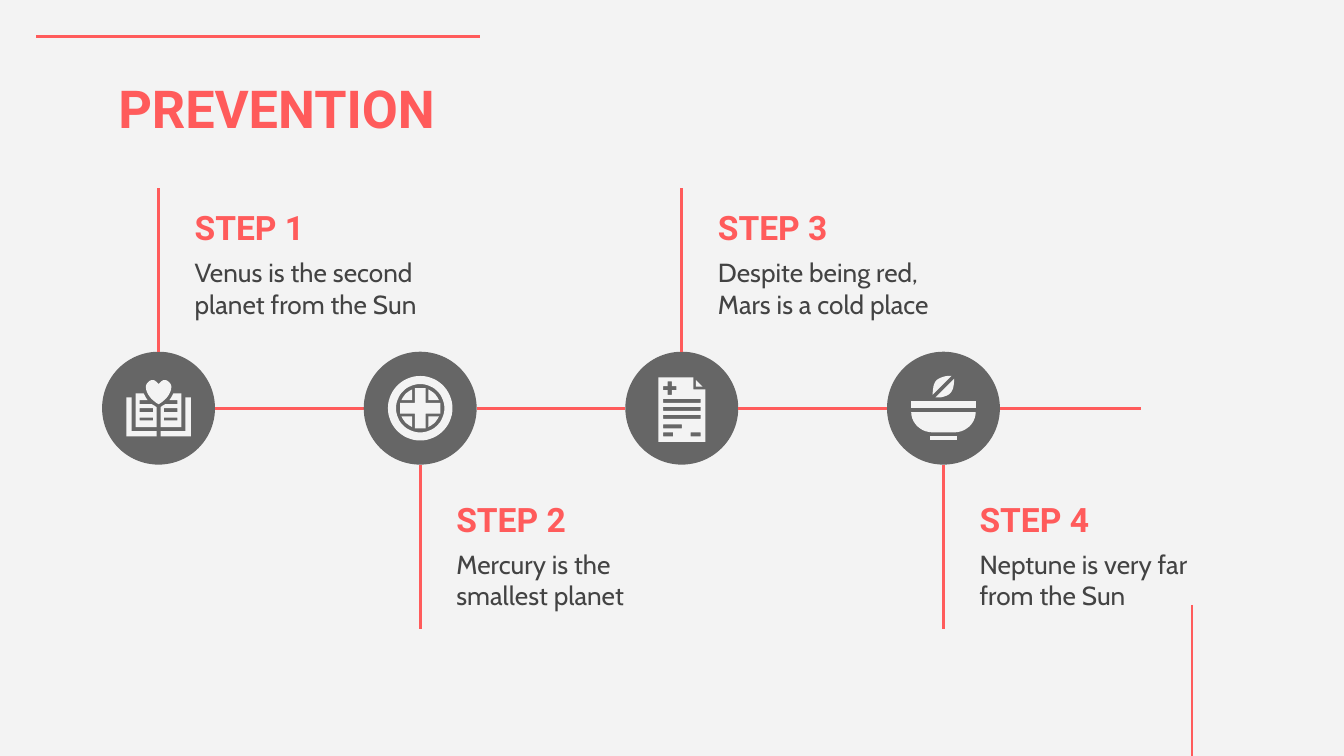
import math

import pptx
import pptx.dml.color
import pptx.enum.shapes
import pptx.enum.text
import pptx.oxml
import pptx.oxml.ns
import pptx.util

Inches = pptx.util.Inches
COLORS = {"accent": "FF5B5B", "paper": "F3F3F3", "disc": "666666", "body": "434343"}
SLIDE_W = 10
SLIDE_H = SLIDE_W * 9 / 16
TITLE = "PREVENTION"
STEPS = [
    ("STEP 1", "Venus is the second planet from the Sun", "book"),
    ("STEP 2", "Mercury is the smallest planet", "shield"),
    ("STEP 3", "Despite being red, Mars is a cold place", "report"),
    ("STEP 4", "Neptune is very far from the Sun", "bowl"),
]
FIRST_X, LAST_X, AXIS_END = 1.18, 7.02, 8.49
PITCH = (LAST_X - FIRST_X) / (len(STEPS) - 1)
AXIS_Y = 0.54 * SLIDE_H
RADIUS, STEM = 0.42, 1.22
TEXT_OFFSET, TEXT_W, HEAD_H, BODY_H = 0.17, 2.05, 0.37, 0.58
ABOVE_TOP, BELOW_TOP = 1.44, 3.61
CORNER_LINES = [(0.27, 0.27, 3.57, 0.27), (8.87, 4.5, 8.87, SLIDE_H)]


# Icon outlines are in hundredths of an inch from the disc's centre.
# A pair is a corner; six numbers are a cubic curve from the last point.
def rect(left, top, right, bottom):
    return [(left, top), (right, top), (right, bottom), (left, bottom)]


def circle(radius, steps=60):
    angles = [2 * math.pi * i / steps for i in range(steps)]
    return [(radius * math.cos(a), radius * math.sin(a)) for a in angles]


def plus(cx, cy, reach, half):
    arm = [(half, -reach), (half, -half), (reach, -half)]
    points = []
    for _ in range(4):
        points += arm
        arm = [(-y, x) for x, y in arm]
    return [(cx + x, cy + y) for x, y in points]


def flip(part, sx=-1, sy=1):
    """Mirror every contour of a part."""
    return [[tuple(v * (sy if i % 2 else sx) for i, v in enumerate(step))
             for step in contour] for contour in part]


COVER = [[(-24, -8), (-24, 21), (-1.5, 21), (-1.5, 17), (-20, 17), (-20, -8)]]
PAGE = [
    [(-17, -11), (-17, 14), (-1.5, 14), (-1.5, -1), (-2, -1, -3, -2, -5, -3),
     (-14, -3), (-14, -6), (-8, -6), (-9, -7, -10, -9, -11, -11)],
    rect(-14, 0, -4, 3), rect(-14, 7, -4, 9),
]
HEART = [[(0, -18), (-1, -19), (-2, -20, -3, -21, -4.5, -21),
          (-7, -21, -9.5, -18, -9.5, -16), (-9.5, -9, -2, -4, 0, -3),
          (2, -4, 9.5, -9, 9.5, -16), (9.5, -18, 7, -21, 4.5, -21),
          (3, -21, 2, -20, 1, -19)]]
QUADRANT = [[(6, -6), (6, -14), (10, -12, 12, -10, 14, -6)]]
ICONS = {
    "book": [COVER, flip(COVER), PAGE, flip(PAGE), HEART],
    "shield": [flip(QUADRANT, sx, sy) for sx in (1, -1) for sy in (1, -1)]
    + [[plus(0, 0, 15, 4)], [circle(24), circle(18)]],
    "report": [
        [[(-17.5, -23), (-17.5, 25), (17.5, 25), (17.5, -14), (8.5, -14), (8.5, -23)],
         plus(-9, -15, 5, 1.5),
         *[rect(-14, top, 14, top + 3) for top in (-7, -1, 5)],
         rect(-14, 12, 0, 15), rect(-14, 18, -6.5, 21), rect(6.5, 18, 14, 21)],
        [[(10.5, -21), (10.5, -16), (15.5, -16)]],
    ],
    "bowl": [
        [rect(-24, -5, 24, 0)],
        [[(-24, 3), (-24, 11, -17, 18, -8, 18), (8, 18), (17, 18, 24, 11, 24, 3)]],
        [[(4, -24), (1, -24, -2, -23, -5, -21), (-8, -18, -8, -12, -8, -10), (6, -24)]],
        [[(8, -22), (-6, -8), (-5, -8, -4, -8, -3, -8), (-1, -8, 3, -9, 5, -11),
          (8, -14, 8, -20, 8, -22)]],
        [rect(-10, 21, 10, 24)],
    ],
}


def rgb(name):
    return pptx.dml.color.RGBColor.from_string(COLORS[name])


def flatten(contour, steps=10):
    """Turn the curves of a contour into short straight pieces."""
    points = []
    for step in contour:
        if len(step) == 2:
            points.append(step)
            continue
        x0, y0 = points[-1]
        x1, y1, x2, y2, x3, y3 = step
        for i in range(1, steps + 1):
            t = i / steps
            a, b, c, d = (1 - t) ** 3, 3 * t * (1 - t) ** 2, 3 * t * t * (1 - t), t ** 3
            points.append((a * x0 + b * x1 + c * x2 + d * x3,
                           a * y0 + b * y1 + c * y2 + d * y3))
    return [(round(x * 10), round(y * 10)) for x, y in points]


def paint(shape, color):
    shape.shadow.inherit = False
    shape.fill.solid()
    shape.fill.fore_color.rgb = rgb(color)
    shape.line.fill.background()


def add_icon(slide, parts, cx, cy):
    icon = slide.shapes.add_group_shape()
    for part in parts:
        first, *others = [flatten(contour) for contour in part]
        outline = icon.shapes.build_freeform(*first[0], scale=Inches(1) / 1000)
        outline.add_line_segments(first[1:], close=True)
        for hole in others:
            outline.move_to(*hole[0])
            outline.add_line_segments(hole[1:], close=True)
        paint(outline.convert_to_shape(Inches(cx), Inches(cy)), "paper")


def add_line(slide, x1, y1, x2, y2):
    line = slide.shapes.add_connector(
        pptx.enum.shapes.MSO_CONNECTOR.STRAIGHT, *map(Inches, (x1, y1, x2, y2)))
    line.line.color.rgb = rgb("accent")
    line.line.width = pptx.util.Pt(1.5)
    line._element.spPr.append(pptx.oxml.parse_xml(
        f'<a:effectLst {pptx.oxml.ns.nsdecls("a")}/>'))


def write(box, text, font, size, color, bold=False):
    frame = box.text_frame
    frame.text = text
    frame.word_wrap = True
    frame.auto_size = pptx.enum.text.MSO_AUTO_SIZE.NONE
    frame.vertical_anchor = pptx.enum.text.MSO_ANCHOR.TOP
    frame.margin_left = frame.margin_right = Inches(0.1)
    frame.margin_top = frame.margin_bottom = Inches(0.1)
    frame.paragraphs[0].alignment = pptx.enum.text.PP_ALIGN.LEFT
    style = frame.paragraphs[0].runs[0].font
    style.name, style.size, style.bold = font, pptx.util.Pt(size), bold
    style.color.rgb = rgb(color)


def add_step(slide, index, heading, body, icon):
    x = FIRST_X + index * PITCH
    above = index % 2 == 0
    disc = slide.shapes.add_shape(
        pptx.enum.shapes.MSO_SHAPE.OVAL, Inches(x - RADIUS), Inches(AXIS_Y - RADIUS),
        Inches(2 * RADIUS), Inches(2 * RADIUS))
    paint(disc, "disc")
    add_icon(slide, ICONS[icon], x, AXIS_Y)

    edge = AXIS_Y - RADIUS if above else AXIS_Y + RADIUS
    add_line(slide, x, edge, x, edge - STEM if above else edge + STEM)
    is_last = index == len(STEPS) - 1
    add_line(slide, x + RADIUS, AXIS_Y, AXIS_END if is_last else x + PITCH - RADIUS, AXIS_Y)

    left, top = x + TEXT_OFFSET, ABOVE_TOP if above else BELOW_TOP
    heading_box = slide.shapes.add_textbox(*map(Inches, (left, top, TEXT_W, HEAD_H)))
    write(heading_box, heading, "Roboto", 18, "accent", bold=True)
    body_box = slide.shapes.add_textbox(*map(Inches, (left, top + HEAD_H, TEXT_W, BODY_H)))
    write(body_box, body, "Cabin", 14, "body")


def main():
    deck = pptx.Presentation()
    deck.slide_width, deck.slide_height = Inches(SLIDE_W), Inches(SLIDE_H)
    slide = deck.slides.add_slide(deck.slide_layouts[5])
    slide.background.fill.solid()
    slide.background.fill.fore_color.rgb = rgb("paper")

    for ends in CORNER_LINES:
        add_line(slide, *ends)
    title = slide.shapes.title
    title.left, title.top, title.width, title.height = map(Inches, (0.78, 0.47, 8.44, 0.51))
    write(title, TITLE, "Roboto", 28, "accent", bold=True)
    for index, step in enumerate(STEPS):
        add_step(slide, index, *step)
    deck.save("out.pptx")


if __name__ == "__main__":
    main()
